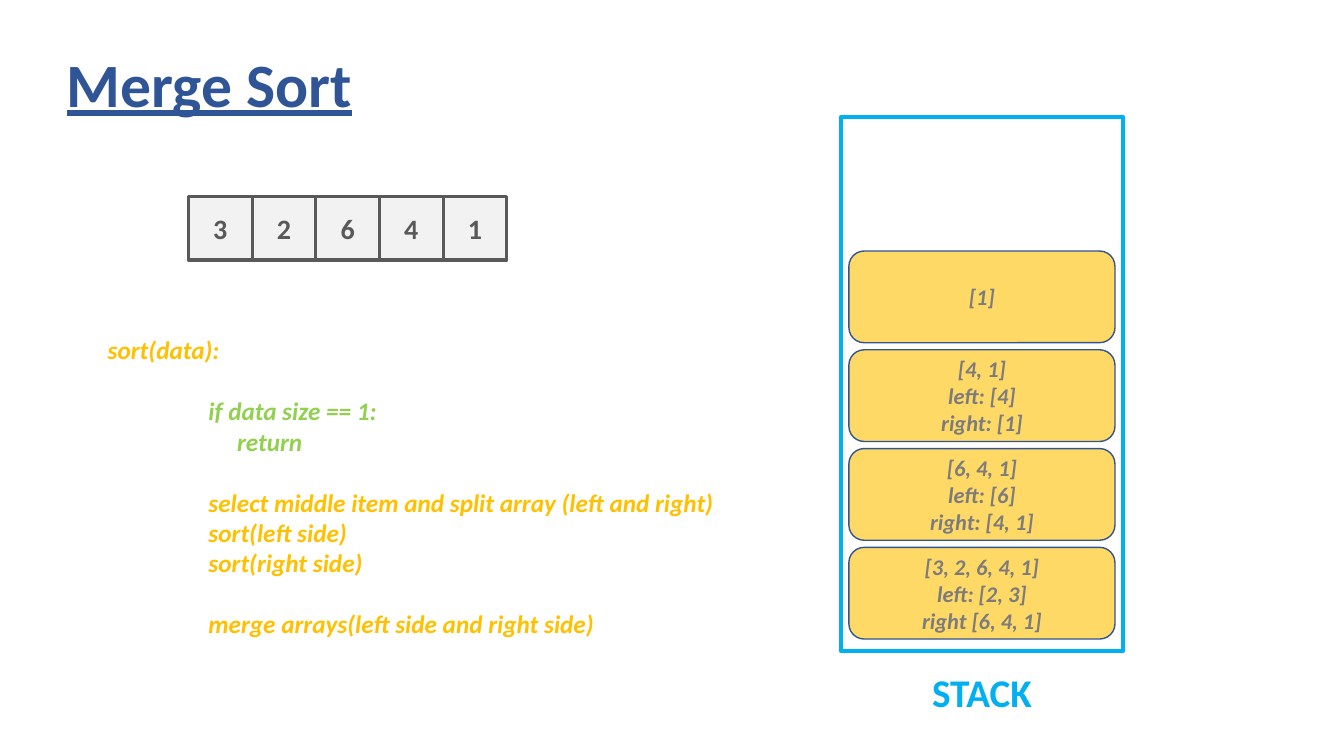
from collections import namedtuple

from pptx import Presentation
from pptx.dml.color import RGBColor
from pptx.enum.shapes import MSO_SHAPE as Preset
from pptx.enum.text import MSO_ANCHOR as Anchor, MSO_AUTO_SIZE as AutoSize, PP_ALIGN as Align
from pptx.util import Inches, Pt

COLUMNS, ROWS = 160, 90
WIDTH, HEIGHT = Inches(13.33), Inches(7.5)
Box = namedtuple("Box", "column row columns rows")

NAVY, SKY, GOLD, GREEN = "2F5597", "00B0F0", "FFC000", "92D050"
CELL_FILL, CELL_INK = "F2F2F2", "595959"
FRAME_FILL, FRAME_LINE, FRAME_INK = "FFD966", "325491", "7C7C7C"

VALUES = ["3", "2", "6", "4", "1"]
CALLS = [  # bottom of the stack first
    ["[3, 2, 6, 4, 1]", "left: [2, 3]", "right [6, 4, 1]"],
    ["[6, 4, 1]", "left: [6]", "right: [4, 1]"],
    ["[4, 1]", "left: [4]", "right: [1]"],
    ["[1]"],
]
BODY, NESTED = 12, 15.4  # indents in columns
CODE = [  # text, colour, indent, starts a new block
    ("sort(data):", GOLD, 0, False),
    ("if data size == 1:", GREEN, BODY, True),
    ("return", GREEN, NESTED, False),
    ("select middle item and split array (left and right)", GOLD, BODY, True),
    ("sort(left side)", GOLD, BODY, False),
    ("sort(right side)", GOLD, BODY, False),
    ("merge arrays(left side and right side)", GOLD, BODY, True),
]


def color(code):
    """Turn a hex string into a colour."""
    return RGBColor.from_string(code)


def across(columns):
    """Length of a number of grid columns."""
    return round(WIDTH * columns / COLUMNS)


def down(rows):
    """Length of a number of grid rows."""
    return round(HEIGHT * rows / ROWS)


def place(box):
    """Left, top, width and height of a grid box."""
    return across(box.column), down(box.row), across(box.columns), down(box.rows)


def assign(target, formats):
    """Set each attribute named in a dict of format values."""
    for attribute, value in formats.items():
        setattr(target, attribute, value)


def write(frame, lines, size, ink, align=Align.CENTER, anchor=Anchor.MIDDLE, **font):
    """Write bold lines into a text frame, one paragraph each."""
    assign(frame, {"word_wrap": True, "auto_size": AutoSize.NONE, "vertical_anchor": anchor})
    frame.text = "\n".join(lines)
    look = {"name": "Calibri", "size": Pt(size), "bold": True} | font
    for paragraph in frame.paragraphs:
        paragraph.alignment = align
        for run in paragraph.runs:
            assign(run.font, look)
            run.font.color.rgb = color(ink)


def add_panel(slide, preset, box, line, weight, fill=None):
    """Add a flat outlined shape, filled when a colour is given."""
    panel = slide.shapes.add_shape(preset, *place(box))
    panel.shadow.inherit = False
    assign(panel.line, {"width": Pt(weight)})
    panel.line.color.rgb = color(line)
    if fill:
        panel.fill.solid()
        panel.fill.fore_color.rgb = color(fill)
    else:
        panel.fill.background()
    return panel


def add_title(slide, box, heading):
    """Place and format the title placeholder."""
    title = slide.shapes.title
    assign(title, dict(zip(("left", "top", "width", "height"), place(box))))
    write(title.text_frame, [heading], 44, NAVY, Align.LEFT, underline=True)
    title.text_frame.paragraphs[0].line_spacing = 0.9


def add_array(slide, box, values):
    """Draw the values as a row of equal cells."""
    pitch = box.columns / len(values)
    for index, value in enumerate(values):
        cell_box = box._replace(column=box.column + index * pitch, columns=pitch)
        cell = add_panel(slide, Preset.RECTANGLE, cell_box, CELL_INK, 2.25, CELL_FILL)
        write(cell.text_frame, [value], 20, CELL_INK)


def add_code(slide, box, code):
    """Write the pseudocode with indents and gaps between its blocks."""
    listing = slide.shapes.add_textbox(*place(box)).text_frame
    write(listing, [text for text, *_ in code], 18, GOLD, Align.LEFT, Anchor.TOP, italic=True)
    for paragraph, (_, ink, indent, new_block) in zip(listing.paragraphs, code):
        paragraph.runs[0].font.color.rgb = color(ink)
        paragraph.space_before = Pt(22 if new_block else 0)
        paragraph._p.get_or_add_pPr().set("marL", str(across(indent)))


def add_stack(slide, box, calls):
    """Draw the stack, its call frames from the bottom up, and its label."""
    add_panel(slide, Preset.RECTANGLE, box, SKY, 3)
    inset, floor, pitch, depth = 0.96, 1.44, 11.76, 10.92
    lowest = box.row + box.rows - floor - depth
    for level, lines in enumerate(calls):
        call_box = Box(box.column + inset, lowest - level * pitch,
                       box.columns - 2 * inset, depth)
        call = add_panel(slide, Preset.ROUNDED_RECTANGLE, call_box, FRAME_LINE, 1, FRAME_FILL)
        write(call.text_frame, lines, 16, FRAME_INK, italic=True)
    label_box = box._replace(row=box.row + box.rows + 1.5, rows=6.84)
    label = slide.shapes.add_textbox(*place(label_box))
    write(label.text_frame, ["STACK"], 28, SKY, anchor=Anchor.TOP)


def build():
    """Build the merge sort slide and save it."""
    deck = Presentation()
    assign(deck, {"slide_width": WIDTH, "slide_height": HEIGHT})
    slide = deck.slides.add_slide(deck.slide_layouts.get_by_name("Title Only"))
    add_title(slide, Box(6.72, 1.68, 138, 17.4), "Merge Sort")
    add_stack(slide, Box(100.1, 13.92, 33.6, 63.6), CALLS)
    add_code(slide, Box(11.64, 39.24, 77, 37.56), CODE)
    add_array(slide, Box(22.44, 23.4, 37.9, 7.56), VALUES)
    deck.save("out.pptx")


build()
